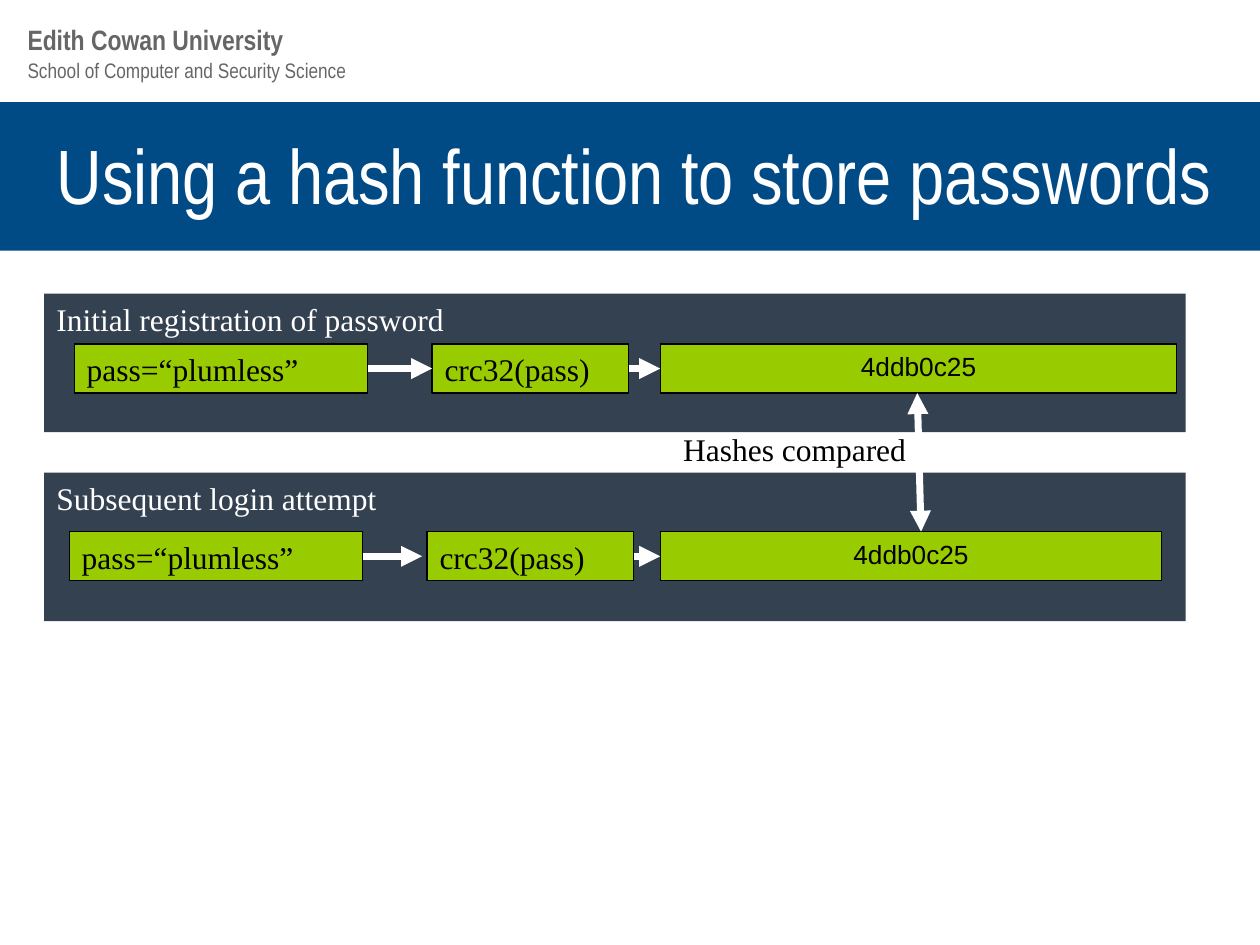
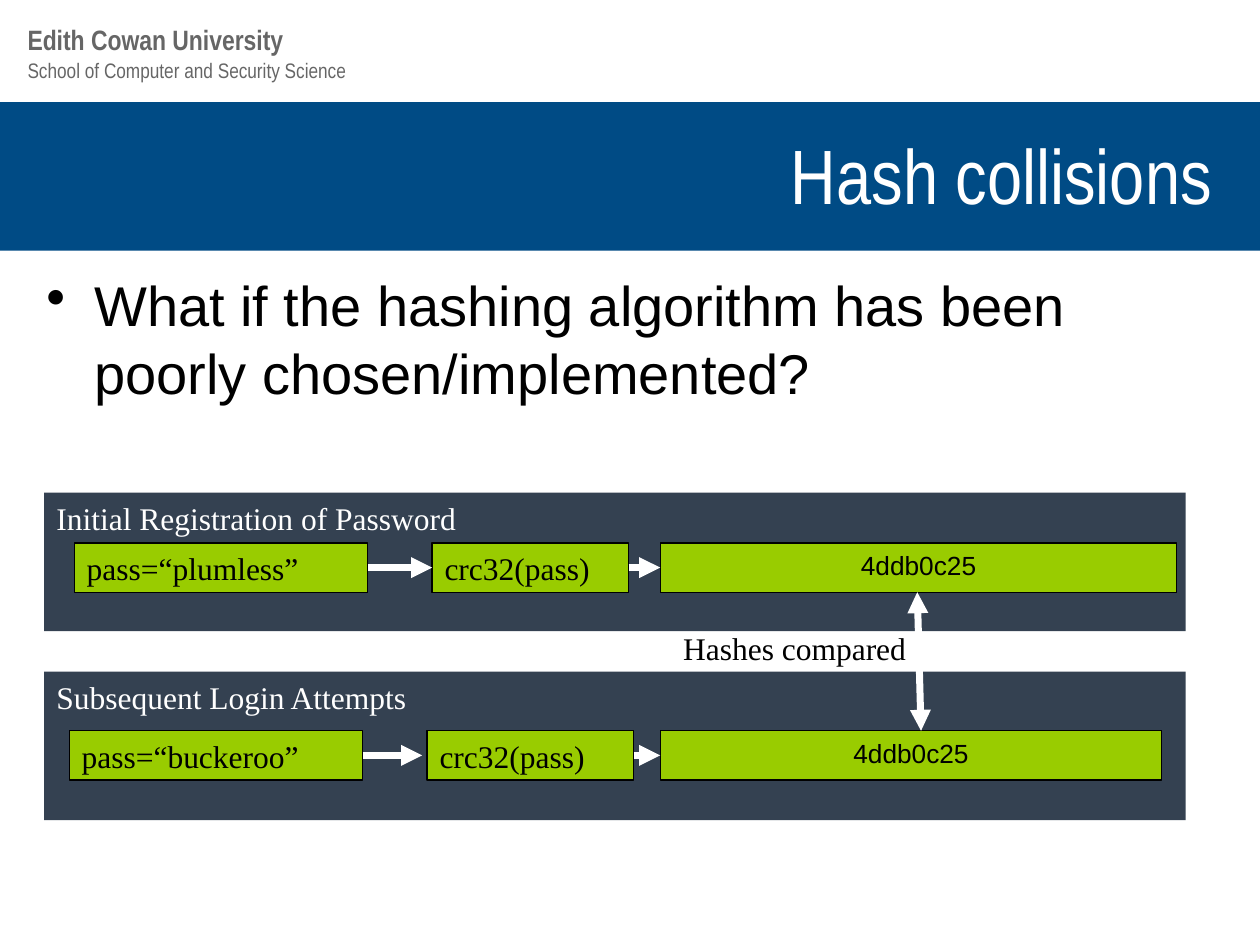
import pptx
import pptx.dml.color
import pptx.enum.shapes
import pptx.enum.text
import pptx.oxml
import pptx.util
from pptx.oxml.ns import nsdecls
from pptx.util import Inches

BLUE, SLATE, GREEN, GREY = "004B85", "344151", "99CC00", "666666"
BLACK, WHITE = "000000", "FFFFFF"
ALIGN = pptx.enum.text.PP_ALIGN
ANCHOR = pptx.enum.text.MSO_ANCHOR

SERIF = {"name": "Times New Roman", "size": 18, "color": BLACK}
SERIF_LIGHT = {**SERIF, "color": WHITE}
DIGEST = {"name": "Arial", "size": 15, "color": BLACK}
BODY = {"name": "Arial", "size": 32, "color": BLACK}
TITLE = {"name": "Arial Narrow", "size": 44, "color": WHITE}
UNIVERSITY = {"name": "Arial Narrow", "size": 16, "color": GREY, "bold": True}
SCHOOL = {"name": "Arial Narrow", "size": 12, "color": GREY}

PANEL_LEFT, PANEL_WIDTH = 0.35, 9.06
STEP_HEIGHT = 0.39
# Left offset from the panel and width of the password, function and digest boxes
REGISTRATION_STEPS = [(0.24, 2.33), (3.08, 1.56), (4.89, 4.1)]
LOGIN_STEPS = [(0.2, 2.33), (3.04, 1.64), (4.89, 3.98)]


def rgb(color):
    return pptx.dml.color.RGBColor.from_string(color)


def write(shape, text, style, align=ALIGN.LEFT, anchor=ANCHOR.TOP):
    frame = shape.text_frame
    frame.word_wrap = True
    frame.vertical_anchor = anchor
    paragraph = frame.paragraphs[0]
    paragraph.alignment = align
    run = paragraph.add_run()
    run.text = text
    for attribute, value in style.items():
        if attribute == "color":
            run.font.color.rgb = rgb(value)
        elif attribute == "size":
            run.font.size = pptx.util.Pt(value)
        else:
            setattr(run.font, attribute, value)
    return paragraph


def add_text(slide, box, text, style, align=ALIGN.LEFT, anchor=ANCHOR.TOP):
    shape = slide.shapes.add_textbox(*map(Inches, box))
    return write(shape, text, style, align, anchor)


def add_rectangle(slide, box, fill, outline=None):
    kind = pptx.enum.shapes.MSO_SHAPE.RECTANGLE
    shape = slide.shapes.add_shape(kind, *map(Inches, box))
    shape.shadow.inherit = False
    shape.fill.solid()
    shape.fill.fore_color.rgb = rgb(fill)
    if outline:
        shape.line.color.rgb = rgb(outline)
        shape.line.width = pptx.util.Pt(0.75)
    else:
        shape.line.fill.background()
    return shape


def add_arrow(slide, start, end, both_ends=False):
    kind = pptx.enum.shapes.MSO_CONNECTOR.STRAIGHT
    arrow = slide.shapes.add_connector(kind, *map(Inches, (*start, *end)))
    arrow.line.color.rgb = rgb(WHITE)
    arrow.line.width = pptx.util.Pt(4)
    line = arrow.line._get_or_add_ln()
    for tag in ["headEnd", "tailEnd"] if both_ends else ["tailEnd"]:
        line.append(pptx.oxml.parse_xml(f'<a:{tag} {nsdecls("a")} type="triangle"/>'))
    arrow._element.spPr.append(pptx.oxml.parse_xml(f'<a:effectLst {nsdecls("a")}/>'))


def add_titled_slide(presentation, title):
    """Add a slide with the university masthead and the title on its blue band."""
    slide = presentation.slides.add_slide(presentation.slide_layouts[6])
    add_rectangle(slide, (0, 0.81, 10, 1.18), BLUE)
    add_text(slide, (0.12, 0.41, 5.89, 0.3), "School of Computer and Security Science", SCHOOL)
    add_text(slide, (0.12, 0.13, 5.89, 0.37), "Edith Cowan University", UNIVERSITY)
    add_text(slide, (0.27, 0.83, 9.45, 1.09), title, TITLE, ALIGN.RIGHT, ANCHOR.MIDDLE)
    return slide


def add_bullet(slide, box, text):
    paragraph = add_text(slide, box, text, BODY)
    properties = paragraph._p.get_or_add_pPr()
    properties.set("marL", str(Inches(0.38)))
    properties.set("indent", str(Inches(-0.38)))
    properties.append(pptx.oxml.parse_xml(f'<a:buChar {nsdecls("a")} char="•"/>'))


def add_hash_panel(slide, top, height, heading, password, steps, steps_offset, first_gap=0):
    """Draw a panel whose password is hashed in steps; first_gap shortens the first arrow."""
    panel = add_rectangle(slide, (PANEL_LEFT, top, PANEL_WIDTH, height), SLATE)
    write(panel, heading, SERIF_LIGHT)

    step_top = top + steps_offset
    labels = [
        (f"pass=“{password}”", SERIF, ALIGN.LEFT),
        ("crc32(pass)", SERIF, ALIGN.LEFT),
        ("4ddb0c25", DIGEST, ALIGN.CENTER),
    ]
    for (offset, width), label in zip(steps, labels):
        box = (PANEL_LEFT + offset, step_top, width, STEP_HEIGHT)
        write(add_rectangle(slide, box, GREEN, BLACK), *label)

    middle = step_top + STEP_HEIGHT / 2
    for (offset, width), (following, _), gap in zip(steps, steps[1:], (first_gap, 0)):
        add_arrow(slide, (PANEL_LEFT + offset + width, middle),
                  (PANEL_LEFT + following - gap, middle))


def add_hash_comparison(slide, top, registration, login):
    """Draw both panels from (heading, password) pairs and compare their digests."""
    add_hash_panel(slide, top + 1.42, 1.18, *login, LOGIN_STEPS, 0.47, first_gap=0.04)
    add_hash_panel(slide, top, 1.1, *registration, REGISTRATION_STEPS, 0.4)
    add_arrow(slide, (7.28, top + 0.4 + STEP_HEIGHT), (7.31, top + 1.89), both_ends=True)
    add_text(slide, (5.24, top + 1.03, 2.05, 0.39), "Hashes compared", SERIF, ALIGN.RIGHT)


def main():
    presentation = pptx.Presentation()
    presentation.slide_width = Inches(10)
    presentation.slide_height = Inches(7.5)

    storing = add_titled_slide(presentation, "Using a hash function to store passwords")
    add_hash_comparison(storing, 2.33,
                        ("Initial registration of password", "plumless"),
                        ("Subsequent login attempt", "plumless"))

    collisions = add_titled_slide(presentation, "Hash collisions")
    add_bullet(collisions, (0.27, 2.1, 9.45, 1.18),
               "What if the hashing algorithm has been poorly chosen/implemented?")
    add_hash_comparison(collisions, 3.91,
                        ("Initial Registration of Password", "plumless"),
                        ("Subsequent Login Attempts", "buckeroo"))

    presentation.save("out.pptx")


if __name__ == "__main__":
    main()
